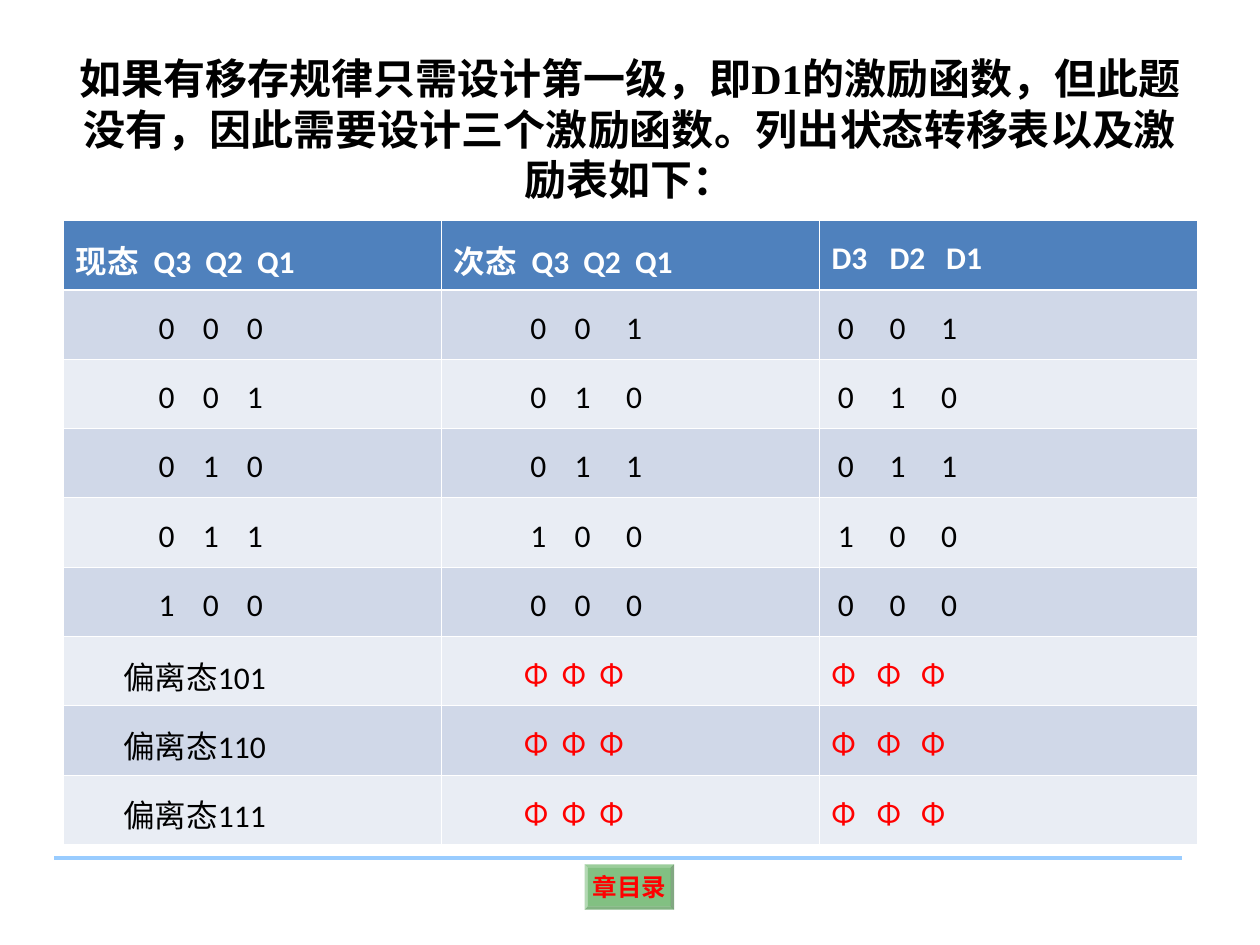
from lxml import etree
from pptx import Presentation
from pptx.dml.color import RGBColor
from pptx.enum import shapes, text
from pptx.oxml.ns import qn
from pptx.util import Inches, Pt

BLACK = RGBColor(0x00, 0x00, 0x00)
WHITE = RGBColor(0xFF, 0xFF, 0xFF)
RED = RGBColor(0xFF, 0x00, 0x00)
GREEN = RGBColor(0x00, 0x80, 0x00)
SKY = RGBColor(0x99, 0xCC, 0xFF)
HEADER_BLUE = RGBColor(0x4F, 0x81, 0xBD)
BAND_DARK = RGBColor(0xD0, 0xD8, 0xE8)
BAND_LIGHT = RGBColor(0xE9, 0xED, 0xF4)


def style_font(para, name, size, color, bold):
    para.font.name = name
    para.font.size = Pt(size)
    para.font.color.rgb = color
    para.font.bold = bold


def add_border(cell, side, width):
    line = etree.SubElement(cell._tc.get_or_add_tcPr(), qn("a:" + side), w=str(Pt(width)))
    fill = etree.SubElement(line, qn("a:solidFill"))
    etree.SubElement(fill, qn("a:srgbClr"), val=str(WHITE))


deck = Presentation()
deck.slide_width, deck.slide_height = Inches(10), Inches(7.5)
page = deck.slides.add_slide(deck.slide_layouts[5])

# Contents button
button = page.shapes.add_shape(
    shapes.MSO_SHAPE.BEVEL, Inches(4.64), Inches(6.86), Inches(0.71), Inches(0.36))
button.adjustments[0] = 0.07
button.shadow.inherit = False
button.line.fill.background()
button.fill.solid()
button.fill.fore_color.rgb = GREEN
green = button._element.spPr.find(qn("a:solidFill"))[0]
etree.SubElement(green, qn("a:alpha"), val="49000")
frame = button.text_frame
frame.word_wrap = False
frame.vertical_anchor = text.MSO_ANCHOR.MIDDLE
frame.margin_left = frame.margin_right = Inches(0.04)
frame.margin_top = frame.margin_bottom = Inches(0.04)
para = frame.paragraphs[0]
para.text = "章目录"
para.alignment = text.PP_ALIGN.CENTER
style_font(para, "Times New Roman", 14, RED, True)

# Footer rule
rule = page.shapes.add_connector(
    shapes.MSO_CONNECTOR.STRAIGHT, Inches(0.43), Inches(6.81), Inches(9.38), Inches(6.81))
rule.line.color.rgb = SKY
rule.line.width = Pt(2.25)
etree.SubElement(rule._element.spPr, qn("a:effectLst"))

# Title
title = page.shapes.title
title.left, title.top = Inches(0.5), Inches(0.37)
title.width, title.height = Inches(9), Inches(1.3)
frame = title.text_frame
frame.word_wrap = True
frame.auto_size = text.MSO_AUTO_SIZE.NONE
frame.vertical_anchor = text.MSO_ANCHOR.TOP
para = frame.paragraphs[0]
para.text = ("如果有移存规律只需设计第一级，即D1的激励函数，但此题没有，"
             "因此需要设计三个激励函数。列出状态转移表以及激励表如下：")
para.alignment = text.PP_ALIGN.CENTER
style_font(para, "Times New Roman", 24, BLACK, True)

# Rows of the state table; a tab moves to the next stop of the cell
rows = [["现态\tQ3\tQ2\tQ1", "次态\tQ3\tQ2\tQ1", "D3\tD2\tD1"]]
states = ["000", "001", "010", "011", "100"]
for state, following in zip(states, states[1:] + states[:1]):
    present, after = "\t".join(state), "\t".join(following)
    rows.append(["\t" + present, "\t" + after, "\t" + after])
unknown = "\t".join("ΦΦΦ")
for state in ["101", "110", "111"]:
    rows.append(["\t偏离态" + state, "\t" + unknown, unknown])

# Tab stops in inches for each column, by kind of row
header_stops = [[0.62, 1.03, 1.44], [0.62, 1.03, 1.44], [0.46, 0.91]]
state_stops = [[0.66, 1.01, 1.36], [0.61, 0.96, 1.37], [0.05, 0.46, 0.87]]
stray_stops = [[0.38], [0.56, 0.86, 1.16], [0.36, 0.71]]

# State transition and excitation table
table = page.shapes.add_table(
    len(rows), 3, Inches(0.5), Inches(1.75), Inches(9), Inches(4.95)).table
for r, row in enumerate(rows):
    header, stray = r == 0, r > len(states)
    stops = header_stops if header else stray_stops if stray else state_stops
    for c, label in enumerate(row):
        cell = table.cell(r, c)
        cell.vertical_anchor = text.MSO_ANCHOR.MIDDLE
        for side in ("lnL", "lnR", "lnT", "lnB"):
            heavy = (r, side) in [(0, "lnB"), (1, "lnT")]
            add_border(cell, side, 1.47 if heavy else 0.45)
        cell.fill.solid()
        cell.fill.fore_color.rgb = HEADER_BLUE if header else BAND_DARK if r % 2 else BAND_LIGHT
        para = cell.text_frame.paragraphs[0]
        para.text = label
        tabs = etree.SubElement(para._p.get_or_add_pPr(), qn("a:tabLst"))
        for stop in stops[c]:
            etree.SubElement(tabs, qn("a:tab"), pos=str(Inches(stop)), algn="l")
        para.line_spacing = 1.2
        color = WHITE if header else RED if stray and c > 0 else BLACK
        style_font(para, "Calibri", 18, color, header)

deck.save("out.pptx")
